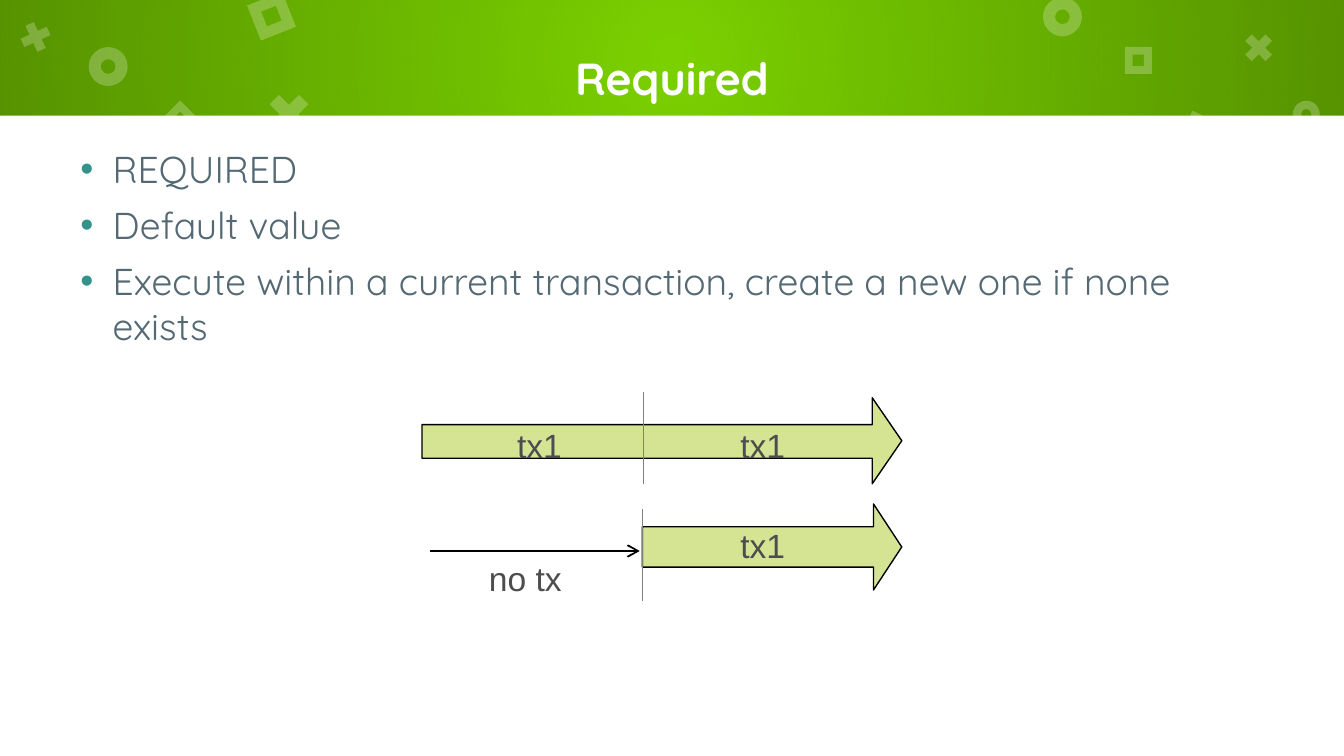
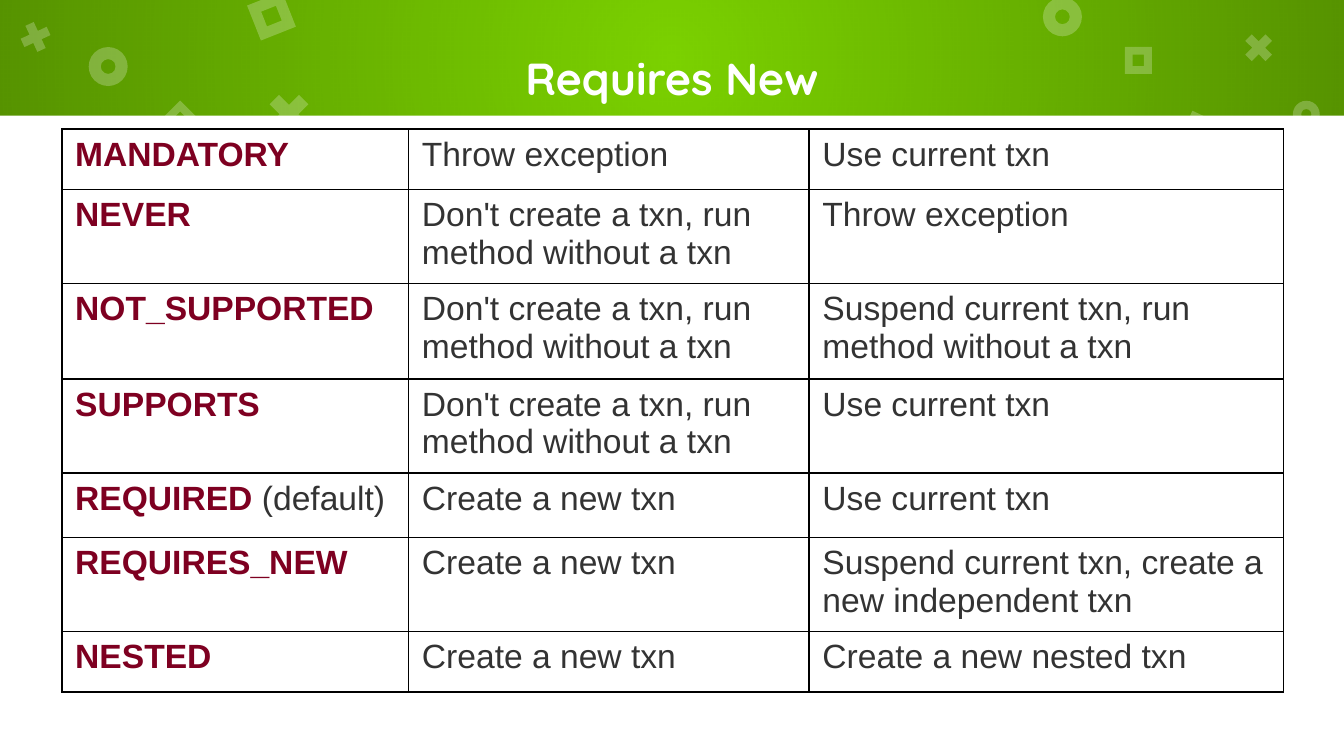
"""Build two slides on transaction propagation: a flow diagram and a table."""
import pptx
import pptx.util
import pptx.oxml
import pptx.oxml.ns
from pptx.dml.color import RGBColor
from pptx.enum.shapes import MSO_CONNECTOR, MSO_SHAPE
from pptx.enum.text import MSO_ANCHOR, MSO_AUTO_SIZE, PP_ALIGN

Inches = pptx.util.Inches
Pt = pptx.util.Pt

GREEN = RGBColor(0x7B, 0xD1, 0x00)
WHITE = RGBColor(0xFF, 0xFF, 0xFF)
BLACK = RGBColor(0x00, 0x00, 0x00)
LIME = RGBColor(0xD5, 0xE4, 0x93)
GRAY = RGBColor(0x80, 0x80, 0x80)
SLATE = RGBColor(0x54, 0x69, 0x73)
TEAL = RGBColor(0x33, 0x92, 0x8A)
LABEL = RGBColor(0x4D, 0x4D, 0x4D)
CELL = RGBColor(0x33, 0x33, 0x33)
MAROON = RGBColor(0x7E, 0x00, 0x21)

TITLE_FONT = {"name": "Quicksand", "size": Pt(24), "bold": True}
BODY_FONT = {"name": "Quicksand", "size": Pt(20)}
LABEL_FONT = {"name": "Arial", "size": Pt(18)}
KEY_FONT = {**LABEL_FONT, "bold": True}
CELL_FONT = {**LABEL_FONT, "bold": False}
INSETS = dict.fromkeys(
    ("margin_left", "margin_top", "margin_right", "margin_bottom"), Inches(0.1))

SLIDE_W, BAND_H = 10, 0.86
SLIDE_H = SLIDE_W * 9 / 16
RING, CROSS, FRAME = MSO_SHAPE.DONUT, MSO_SHAPE.MATH_MULTIPLY, MSO_SHAPE.FRAME
ADJUST = {RING: 0.31, CROSS: 0.235, FRAME: 0.289}
ORNAMENTS = [
    (RING, 0.66, 0.35, 0.29, 0),
    (CROSS, 1.94, 0.64, 0.42, 0),
    (FRAME, 1.88, -0.02, 0.28, 338.4),
    (RING, 7.76, -0.02, 0.29, 0),
    (FRAME, 8.8, 0.87, 0.28, 25),
    (CROSS, 0.12, 0.13, 0.29, 20.4),
    (FRAME, 1.24, 0.79, 0.2, 45),
    (RING, 9.62, 0.75, 0.2, 0),
    (CROSS, 9.22, 0.21, 0.29, 0),
    (FRAME, 8.37, 0.35, 0.2, 0),
]

BULLETS = [
    "REQUIRED",
    "Default value",
    "Execute within a current transaction, create a new one if none exists",
]

NO_TXN = "Don't create a txn, run method without a txn"
NEW_TXN = "Create a new txn"
USE_TXN = "Use current txn"
THROW = "Throw exception"
COLUMNS = [2.58, 2.98, 3.53]
PROPAGATION = [
    (0.45, "MANDATORY", "", THROW, USE_TXN),
    (0.7, "NEVER", "", NO_TXN, THROW),
    (0.71, "NOT_SUPPORTED", "", NO_TXN,
     "Suspend current txn, run method without a txn"),
    (0.7, "SUPPORTS", "", NO_TXN, USE_TXN),
    (0.48, "REQUIRED ", "(default)", NEW_TXN, USE_TXN),
    (0.7, "REQUIRES_NEW", "", NEW_TXN,
     "Suspend current txn, create a new independent txn"),
    (0.45, "NESTED", "", NEW_TXN, "Create a new nested txn"),
]


def apply(obj, values):
    """Set each attribute named in a dict of format values."""
    for name, value in values.items():
        setattr(obj, name, value)


def add_xml(parent, tag, body="", attrs=""):
    """Append a DrawingML element to a parent and return it."""
    ns = pptx.oxml.ns.nsdecls("a")
    el = pptx.oxml.parse_xml(f"<a:{tag} {ns} {attrs}>{body}</a:{tag}>")
    parent.append(el)
    return el


def add_run(p, text, font, color):
    """Add a formatted run to a paragraph."""
    r = p.add_run()
    r.text = text
    apply(r.font, font)
    r.font.color.rgb = color


def add_plain(shapes, kind, x, y, w, h, color):
    """Add a preset shape with a solid fill and no line or shadow."""
    sp = shapes.add_shape(kind, Inches(x), Inches(y), Inches(w), Inches(h))
    sp.shadow.inherit = False
    sp.fill.solid()
    sp.fill.fore_color.rgb = color
    sp.line.fill.background()
    return sp


def shade_band(sp):
    """Darken a band from its centre outwards."""
    stops = "".join(
        f'<a:gs pos="{pos}"><a:srgbClr val="{BLACK}"><a:alpha val="{alpha}"/>'
        "</a:srgbClr></a:gs>" for pos, alpha in ((0, 0), (100000, 30000)))
    rect = " ".join(f'{side}="50000"' for side in "ltrb")
    solid = sp._element.spPr.find(pptx.oxml.ns.qn("a:solidFill"))
    grad = add_xml(
        sp._element.spPr, "gradFill",
        f'<a:gsLst>{stops}</a:gsLst><a:path path="circle">'
        f"<a:fillToRect {rect}/></a:path>")
    solid.getparent().replace(solid, grad)


def add_slide(prs, title):
    """Add a slide with the green band, its ornaments and a title."""
    s = prs.slides.add_slide(prs.slide_layouts[5])
    shade_band(add_plain(s.shapes, MSO_SHAPE.RECTANGLE,
                         0, 0, SLIDE_W, BAND_H, BLACK))
    add_plain(s.shapes, MSO_SHAPE.RECTANGLE,
              0, BAND_H, SLIDE_W, SLIDE_H - BAND_H, WHITE)
    for kind, x, y, size, angle in ORNAMENTS:
        sp = add_plain(s.shapes, kind, x, y, size, size, WHITE)
        sp.adjustments[0] = ADJUST[kind]
        sp.rotation = angle
        color = sp._element.spPr.find(".//" + pptx.oxml.ns.qn("a:srgbClr"))
        add_xml(color, "alpha", attrs='val="24000"')
    sp = s.shapes.title
    apply(sp, {"left": Inches(0.95), "top": 0,
               "width": Inches(8.1), "height": Inches(1.16)})
    tf = sp.text_frame
    apply(tf, {**INSETS, "vertical_anchor": MSO_ANCHOR.MIDDLE,
               "auto_size": MSO_AUTO_SIZE.NONE})
    p = tf.paragraphs[0]
    p.alignment = PP_ALIGN.CENTER
    add_run(p, title, TITLE_FONT, WHITE)
    s.shapes._spTree.append(sp._element)
    return s


def add_bullets(s, items):
    """Add the bulleted body text."""
    sp = s.shapes.add_textbox(Inches(0.5), Inches(0.99), Inches(9), Inches(1.72))
    tf = sp.text_frame
    apply(tf, {**INSETS, "word_wrap": True,
               "auto_size": MSO_AUTO_SIZE.SHAPE_TO_FIT_TEXT})
    for i, item in enumerate(items):
        p = tf.add_paragraph() if i else tf.paragraphs[0]
        p.space_before = Pt(6)
        pPr = p._p.get_or_add_pPr()
        pPr.set("marL", str(Inches(0.24)))
        pPr.set("indent", str(-Inches(0.24)))
        add_xml(pPr, "buClr", f'<a:srgbClr val="{TEAL}"/>')
        add_xml(pPr, "buFont", attrs='typeface="Arial"')
        add_xml(pPr, "buChar", attrs='char="•"')
        add_run(p, item, BODY_FONT, SLATE)


def add_block_arrow(shapes, left, neck, top, shaft_top, shaft_bottom):
    """Add a block arrow pointing right, with its tip at a shared place."""
    tip, bottom = 6.71, top + 0.64
    outline = [
        (left, shaft_top), (neck, shaft_top), (neck, top), (tip, top + 0.32),
        (neck, bottom), (neck, shaft_bottom), (left, shaft_bottom)]
    start, *rest = [(Inches(x), Inches(y)) for x, y in outline]
    fb = shapes.build_freeform(*start)
    fb.add_line_segments(rest)
    sp = fb.convert_to_shape()
    sp.shadow.inherit = False
    sp.fill.solid()
    sp.fill.fore_color.rgb = LIME
    sp.line.color.rgb = BLACK
    sp.line.width = Pt(0.75)


def add_line(shapes, x1, y1, x2, y2, color, width, arrow=False):
    """Add a straight line, with an arrowhead at its end if wanted."""
    cx = shapes.add_connector(MSO_CONNECTOR.STRAIGHT, Inches(x1), Inches(y1),
                              Inches(x2), Inches(y2))
    cx.line.color.rgb = color
    ln = cx.line._get_or_add_ln()
    ln.set("w", str(Pt(width)))
    if arrow:
        add_xml(ln, "tailEnd", attrs='type="arrow"')
    add_xml(cx._element.spPr, "effectLst")


def add_label(shapes, text, x, y, w):
    """Add a short label that does not wrap."""
    sp = shapes.add_textbox(Inches(x), Inches(y), Inches(w), Inches(0.4))
    sp.text_frame.word_wrap = False
    add_run(sp.text_frame.paragraphs[0], text, LABEL_FONT, LABEL)


def add_flow(s):
    """Add the diagram of a call with and without a transaction."""
    shapes = s.shapes.add_group_shape().shapes
    add_block_arrow(shapes, 3.14, 6.49, 2.96, 3.16, 3.41)
    add_line(shapes, 4.79, 2.92, 4.79, 3.6, GRAY, 0)
    add_block_arrow(shapes, 4.78, 6.5, 3.75, 3.92, 4.22)
    add_line(shapes, 4.78, 3.79, 4.78, 4.47, GRAY, 0)
    add_line(shapes, 3.2, 4.1, 4.76, 4.1, BLACK, 1, arrow=True)
    for x, y in ((3.75, 3.11), (5.41, 3.11), (5.41, 3.86)):
        add_label(shapes, "tx1", x, y, 0.54)
    add_label(shapes, "no tx", 3.54, 4.1, 0.87)


def format_cell(cell, runs):
    """Fill a cell with runs and give it thin black borders."""
    for text, font, color in runs:
        add_run(cell.text_frame.paragraphs[0], text, font, color)
    tcPr = cell._tc.get_or_add_tcPr()
    for side in "LRTB":
        add_xml(tcPr, f"ln{side}",
                f'<a:solidFill><a:srgbClr val="{BLACK}"/></a:solidFill>',
                f'w="{Pt(1)}"')
    cell.fill.background()


def add_propagation_table(s):
    """Add the table of propagation settings."""
    heights = [row[0] for row in PROPAGATION]
    gf = s.shapes.add_table(len(heights), len(COLUMNS), Inches(0.46),
                            Inches(0.96), Inches(sum(COLUMNS)),
                            Inches(sum(heights)))
    table = gf.table
    apply(table, {"first_row": False, "horz_banding": False})
    for column, width in zip(table.columns, COLUMNS):
        column.width = Inches(width)
    for row, (height, key, note, without, within) in zip(table.rows, PROPAGATION):
        row.height = Inches(height)
        first = [(key, KEY_FONT, MAROON)]
        if note:
            first.append((note, CELL_FONT, CELL))
        others = [[(text, CELL_FONT, CELL)] for text in (without, within)]
        for cell, runs in zip(row.cells, [first, *others]):
            format_cell(cell, runs)


def main():
    """Build and save the presentation."""
    prs = pptx.Presentation()
    apply(prs, {"slide_width": Inches(SLIDE_W), "slide_height": Inches(SLIDE_H)})
    fill = prs.slide_master.background.fill
    fill.solid()
    fill.fore_color.rgb = GREEN
    s = add_slide(prs, "Required")
    add_bullets(s, BULLETS)
    add_flow(s)
    s = add_slide(prs, "Requires New")
    add_propagation_table(s)
    prs.save("out.pptx")


if __name__ == "__main__":
    main()
